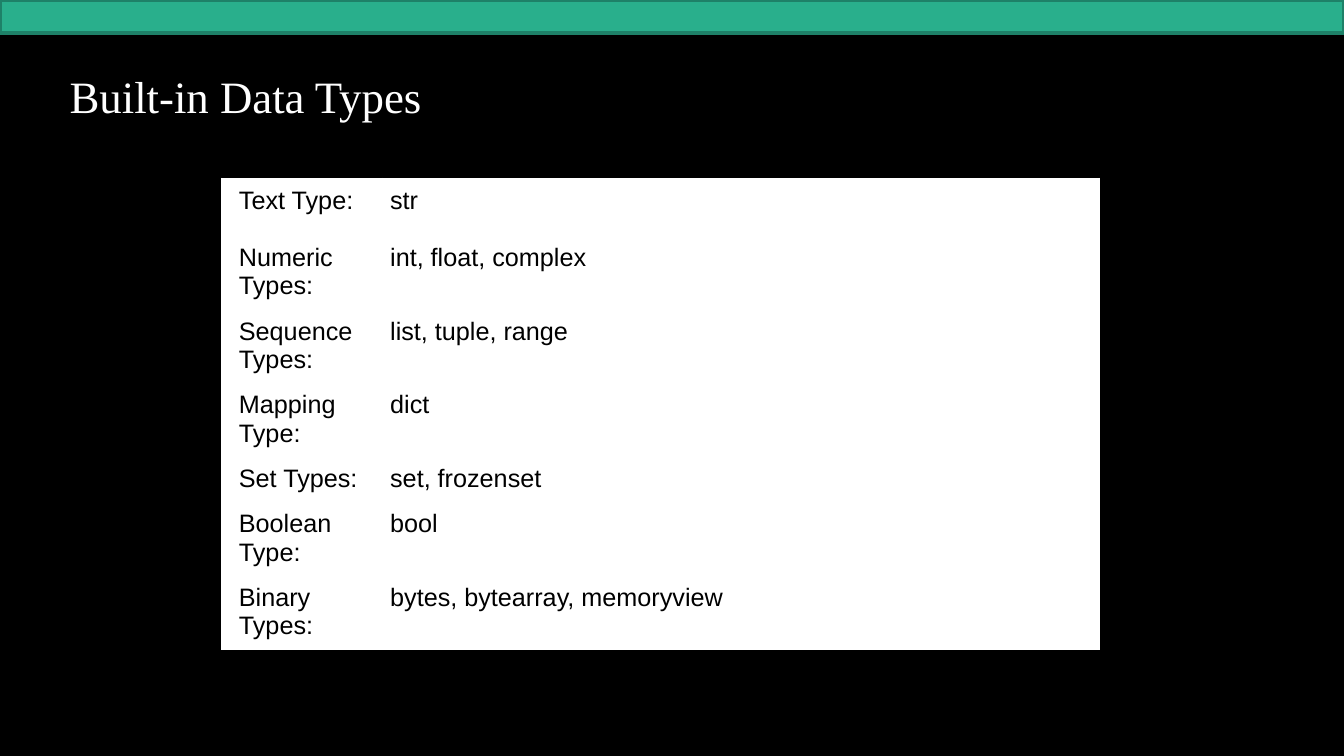
from pptx import Presentation
from pptx.dml.color import RGBColor
from pptx.enum.shapes import MSO_SHAPE
from pptx.enum.text import MSO_ANCHOR, PP_ALIGN
from pptx.util import Inches, Pt

BLACK, WHITE, GREEN, DARK_GREEN = "000000", "FFFFFF", "29AF8C", "1E8168"
DATA_TYPES = [
    ("Text Type:", "str", 0.57),
    ("Numeric Types:", "int, float, complex", 0.73),
    ("Sequence Types:", "list, tuple, range", 0.73),
    ("Mapping Type:", "dict", 0.73),
    ("Set Types:", "set, frozenset", 0.45),
    ("Boolean Type:", "bool", 0.73),
    ("Binary Types:", "bytes, bytearray, memoryview", 0.73),
]
COL_WIDTHS = (1.51, 7.2)
COL_WIDTHS = (1.59, 7.11)


def paint(fill, color):
    fill.solid()
    fill.fore_color.rgb = RGBColor.from_string(color)


def write(tf, text, size=18, font="Arial", color=BLACK, spacing=1.0):
    p = tf.paragraphs[0]
    p.alignment = PP_ALIGN.LEFT
    p.line_spacing = spacing
    r = p.add_run()
    r.text = text
    r.font.size = Pt(size)
    r.font.name = font
    r.font.bold = False
    r.font.color.rgb = RGBColor.from_string(color)


prs = Presentation()
prs.slide_width, prs.slide_height = Inches(13.33), Inches(7.5)
s = prs.slides.add_slide(prs.slide_layouts[5])
paint(s.background.fill, BLACK)

# Title
title = s.shapes.title
title.left, title.top = Inches(0.59), Inches(0.6)
title.width, title.height = Inches(11.5), Inches(0.76)
title.text_frame.vertical_anchor = MSO_ANCHOR.MIDDLE
write(title.text_frame, "Built-in Data Types", size=32,
      font="Times New Roman", color=WHITE, spacing=0.9)

# Top band
band = s.shapes.add_shape(MSO_SHAPE.RECTANGLE, 0, 0, prs.slide_width, Inches(0.33))
band.shadow.inherit = False
paint(band.fill, GREEN)
paint(band.line.fill, DARK_GREEN)
band.line.width = Pt(2.75)

# Table of types
height = sum(row[-1] for row in DATA_TYPES)
table = s.shapes.add_table(len(DATA_TYPES), len(COL_WIDTHS), Inches(2.2), Inches(1.77),
                           Inches(sum(COL_WIDTHS)), Inches(height)).table
table.first_row = table.horz_banding = False
for column, width in zip(table.columns, COL_WIDTHS):
    column.width = Inches(width)
for row, (*texts, row_height) in zip(table.rows, DATA_TYPES):
    row.height = Inches(row_height)
    for cell, text, left in zip(row.cells, texts, (0.17, 0.08)):
        cell.margin_left = Inches(left)
        cell.margin_top = cell.margin_right = cell.margin_bottom = Inches(0.08)
        paint(cell.fill, WHITE)
        write(cell.text_frame, text)

prs.save("out.pptx")
